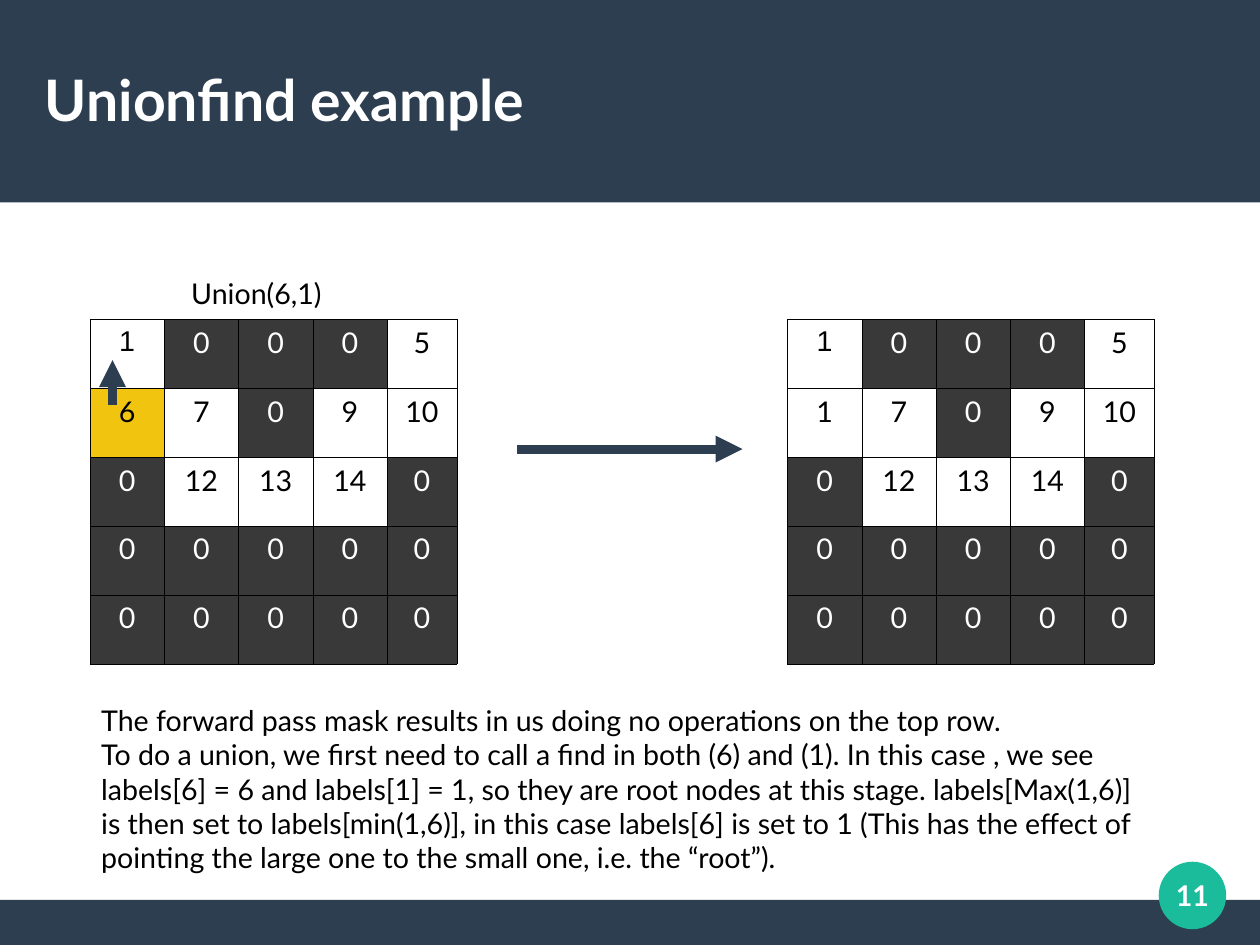
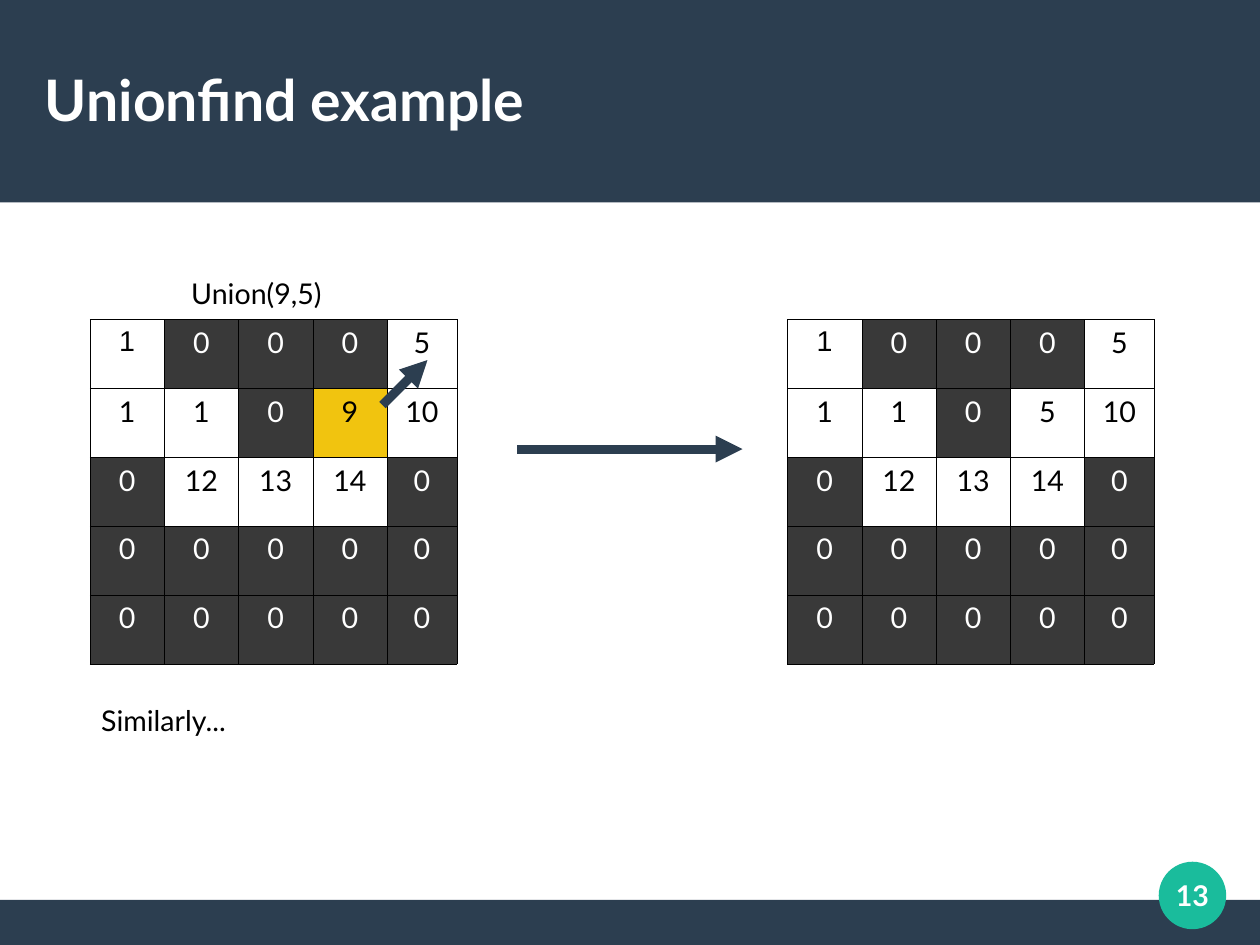
from lxml import etree
from pptx import Presentation
from pptx.dml.color import RGBColor
from pptx.enum.shapes import MSO_CONNECTOR, MSO_SHAPE
from pptx.enum.text import MSO_ANCHOR, PP_ALIGN
from pptx.oxml.ns import qn
from pptx.util import Cm, Pt

LINE = MSO_CONNECTOR.STRAIGHT
RECT, OVAL = MSO_SHAPE.RECTANGLE, MSO_SHAPE.OVAL
TOP, MIDDLE = MSO_ANCHOR.TOP, MSO_ANCHOR.MIDDLE
LEFT, CENTER = PP_ALIGN.LEFT, PP_ALIGN.CENTER

HEX = {"navy": "2C3E50", "green": "1ABC9C", "gold": "F1C40F",
       "dark": "393939", "white": "FFFFFF", "black": "000000"}
RGB = {name: RGBColor.from_string(code) for name, code in HEX.items()}

# The slide is a grid of 28 columns and 21 rows, each one centimetre.
COLS, ROWS = 28, 21
WIDTHS = [1.65] * 4 + [1.55]
STEP = 1.53
TABLE_TOP = 7.1
BEFORE, AFTER = 2, 17.5

BANDS = [
    (RECT, "navy", (0, 20, COLS, 1)),
    (RECT, "navy", (0, 0, COLS, 4.5)),
    (OVAL, "green", (25.75, 19.15, 1.5, 1.5)),
]

# "spot" is the row and column of the joined cell, "root" its new label.
STEPS = [
    {
        "page": "11", "call": "Union(6,1)", "spot": (1, 0), "root": 1,
        "second": [6, 7, 0, 9, 10], "arrow": (2.5, 9, 2.5, 8),
        "note": "The forward pass mask results in us doing no operations "
                "on the top row.\n"
                "To do a union, we first need to call a find in both (6) "
                "and (1). In this case , we see labels[6] = 6 and "
                "labels[1] = 1, so they are root nodes at this stage. "
                "labels[Max(1,6)] is then set to labels[min(1,6)], in this "
                "case labels[6] is set to 1 (This has the effect of pointing "
                "the large one to the small one, i.e. the “root”).",
    },
    {
        "page": "13", "call": "Union(9,5)", "spot": (1, 3), "root": 5,
        "second": [1, 1, 0, 9, 10], "arrow": (8.5, 9, 9.5, 8),
        "note": "Similarly...",
    },
]


def write(frame, text, size=18, color="black", font="Lato", bold=False,
          align=LEFT):
    for i, part in enumerate(text.split("\n")):
        para = frame.add_paragraph() if i else frame.paragraphs[0]
        para.alignment = align
        run = para.add_run()
        run.text = part
        run.font.name, run.font.size = font, Pt(size)
        run.font.bold = bold
        run.font.color.rgb = RGB[color]


def box(slide, place, text, anchor=TOP, inset=True, **style):
    """Add a wrapped text box, with or without inner margins."""
    frame = slide.shapes.add_textbox(*map(Cm, place)).text_frame
    frame.word_wrap = True
    frame.vertical_anchor = anchor
    if not inset:
        frame.margin_left = frame.margin_right = 0
        frame.margin_top = frame.margin_bottom = 0
    write(frame, text, **style)


deck = Presentation()
deck.slide_width, deck.slide_height = Cm(COLS), Cm(ROWS)

for step in STEPS:
    slide = deck.slides.add_slide(deck.slide_layouts[6])

    for kind, color, place in BANDS:
        band = slide.shapes.add_shape(kind, *map(Cm, place))
        band.shadow.inherit = False
        band.fill.solid()
        band.fill.fore_color.rgb = RGB[color]
        band.line.fill.background()

    box(slide, (1, 0.85, 26, 2.67), "Unionfind example", MIDDLE, False,
        size=36, color="white", bold=True)
    box(slide, (4, 6, 3.84, 1.12), step["call"])

    labels = [[1, 0, 0, 0, 5], step["second"], [0, 12, 13, 14, 0],
              [0] * 5, [0] * 5]
    joined = [list(row) for row in labels]
    r, c = step["spot"]
    joined[r][c] = step["root"]

    for left, grid, spot in ((AFTER, joined, None),
                             (BEFORE, labels, step["spot"])):
        table = slide.shapes.add_table(
            len(grid), len(WIDTHS), Cm(left), Cm(TABLE_TOP),
            Cm(sum(WIDTHS)), Cm(STEP * len(grid))).table
        table.first_row = table.horz_banding = False
        for col, width in zip(table.columns, WIDTHS):
            col.width = Cm(width)
        for r, row in enumerate(grid):
            table.rows[r].height = Cm(STEP)
            for c, label in enumerate(row):
                cell = table.cell(r, c)
                write(cell.text_frame, str(label), align=CENTER,
                      color="black" if label else "white",
                      font="Lato" if r or c else "Arial")
                props = cell._tc.get_or_add_tcPr()
                for side in ("a:lnL", "a:lnR", "a:lnT", "a:lnB"):
                    edge = etree.SubElement(props, qn(side), w="762")
                    fill = etree.SubElement(edge, qn("a:solidFill"))
                    etree.SubElement(fill, qn("a:srgbClr"), val=HEX["black"])
                tint = "white" if label else "dark"
                cell.fill.solid()
                cell.fill.fore_color.rgb = RGB[
                    "gold" if (r, c) == spot else tint]

    for ends in ((11.5, 9.98, 16.5, 9.98), step["arrow"]):
        arrow = slide.shapes.add_connector(LINE, *map(Cm, ends))
        arrow.line.color.rgb = RGB["navy"]
        arrow.line.width = Pt(5.67)
        etree.SubElement(arrow.line._get_or_add_ln(), qn("a:tailEnd"),
                         type="triangle")
        etree.SubElement(arrow._element.spPr, qn("a:effectLst"))

    box(slide, (BEFORE, 15.5, 23.5, 4.5), step["note"])
    box(slide, (25.5, 18.9, 2, 2), step["page"], MIDDLE, False,
        color="white", bold=True, align=CENTER)

deck.save("out.pptx")
